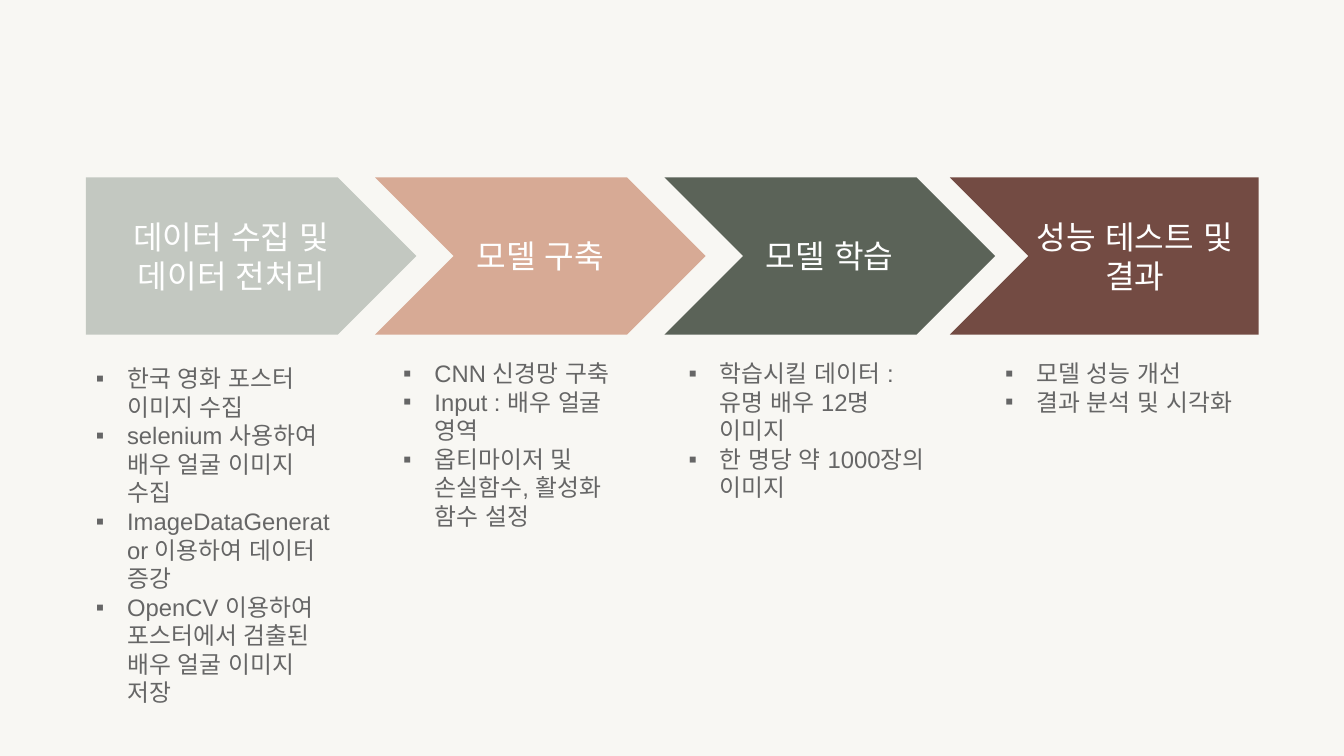
import pptx
import pptx.util
import pptx.dml.color
import pptx.enum.shapes
import pptx.enum.text
import pptx.oxml.ns
import lxml.etree

Inches, Pt = pptx.util.Inches, pptx.util.Pt
Kind = pptx.enum.shapes.MSO_SHAPE
Anchor = pptx.enum.text.MSO_ANCHOR
Align = pptx.enum.text.PP_ALIGN
qn = pptx.oxml.ns.qn


def hue(code):
    return pptx.dml.color.RGBColor.from_string(code)


class Deck:
    """Style and current slide; lengths are percentages of the slide's size."""
    font = "Arial"
    paper, white, grey = "F8F7F3", "FFFFFF", "666666"
    head, body = 23, 17

    def __init__(self):
        self.show = pptx.Presentation()
        self.show.slide_width = Inches(13.333)
        self.show.slide_height = Inches(7.5)
        self.slide = self.show.slides.add_slide(self.show.slide_layouts[4])
        back = self.slide.background.fill
        back.solid()
        back.fore_color.rgb = hue(self.paper)
        title = self.slide.shapes.title._element
        title.getparent().remove(title)
        self.slots = list(self.slide.placeholders)

    def place(self, left, top, width, height):
        wide, high = self.show.slide_width, self.show.slide_height
        return [round(part * side / 100) for part, side in
                ((left, wide), (top, high), (width, wide), (height, high))]

    def letter(self, shape, text, size, color, align, pads):
        """Fill a shape with text; pads are left, top, right, bottom inches."""
        frame = shape.text_frame
        frame.text = text
        frame.word_wrap = True
        frame.auto_size = pptx.enum.text.MSO_AUTO_SIZE.NONE
        (frame.margin_left, frame.margin_top,
         frame.margin_right, frame.margin_bottom) = map(Inches, pads)
        for para in frame.paragraphs:
            para.alignment = align
            para.space_before = Pt(0)
            for run in para.runs:
                run.font.name = self.font
                run.font.size = Pt(size)
                run.font.bold = False
                run.font.color.rgb = hue(color)
                east = lxml.etree.SubElement(run.font._element, qn("a:ea"))
                east.set("typeface", self.font)
        return frame

    def label(self, shape, text, color, inset=0.1):
        shape.shadow.inherit = False
        shape.fill.solid()
        shape.fill.fore_color.rgb = hue(color)
        shape.line.fill.background()
        frame = self.letter(shape, text, self.head, self.white, Align.CENTER,
                            (inset, 0.05, 0.1, 0.05))
        frame.vertical_anchor = Anchor.MIDDLE

    def arrow(self, kind, area, text, color):
        shape = self.slide.shapes.add_shape(kind, *self.place(*area))
        shape.adjustments[0] = 0.5
        self.label(shape, text, color)

    def end(self, area, text, color):
        """Draw the last step: a box with a notch in its left side."""
        x, y, wide, high = self.place(*area)
        half = high // 2
        edge = self.slide.shapes.build_freeform(x, y)
        edge.add_line_segments([(x + wide, y), (x + wide, y + high),
                                (x, y + high), (x + half, y + half)])
        self.label(edge.convert_to_shape(), text, color, 0.71)

    def points(self, area, items, pads):
        box = self.slots.pop(0)
        box.left, box.top, box.width, box.height = self.place(*area)
        frame = self.letter(box, "\n".join(items), self.body, self.grey,
                            Align.LEFT, pads)
        frame.vertical_anchor = Anchor.TOP
        for para in frame.paragraphs:
            self.bullet(para)

    def bullet(self, para):
        props = para._p.get_or_add_pPr()
        props.set("marL", str(Inches(0.31)))
        props.set("indent", str(Inches(-0.33)))
        tint = lxml.etree.SubElement(props, qn("a:buClr"))
        lxml.etree.SubElement(tint, qn("a:srgbClr")).set("val", self.grey)
        face = lxml.etree.SubElement(props, qn("a:buFont"))
        face.set("typeface", self.font)
        lxml.etree.SubElement(props, qn("a:buChar")).set("char", "▪")


def main():
    deck = Deck()
    left, top, pitch = 6.38, 23.47, 21.53
    wide, high = 24.6, 20.8
    steps = [
        (Kind.PENTAGON, "데이터 수집 및\n데이터 전처리", "C3C8C1"),
        (Kind.CHEVRON, "모델 구축", "D7AA95"),
        (Kind.CHEVRON, "모델 학습", "5B6358"),
    ]
    for col, (kind, text, color) in enumerate(steps):
        deck.arrow(kind, (left + col * pitch, top, wide, high), text, color)
    deck.end((70.67, top, 22.98, high), "성능 테스트 및 결과", "734B43")

    tight, loose = (0.1, 0.05, 0.1, 0.05), (0.1, 0.1, 0.1, 0.7)
    lists = [
        (left, 42, loose, ["한국 영화 포스터 이미지 수집",
                           "selenium 사용하여 배우 얼굴 이미지 수집",
                           "ImageDataGenerator 이용하여 데이터 증강",
                           "OpenCV 이용하여 포스터에서 검출된 배우 얼굴 이미지 저장"]),
        (29.25, 29.6, tight, ["CNN 신경망 구축",
                              "Input : 배우 얼굴 영역",
                              "옵티마이저 및 손실함수, 활성화 함수 설정"]),
        (50.48, 29.6, tight, ["학습시킬 데이터 : 유명 배우 12명 이미지",
                              "한 명당 약 1000장의 이미지"]),
        (74.03, 29.6, tight, ["모델 성능 개선", "결과 분석 및 시각화"]),
    ]
    for x, tall, pads, items in lists:
        deck.points((x, 46.8, 19.5, tall), items, pads)
    deck.show.save("out.pptx")


if __name__ == "__main__":
    main()
